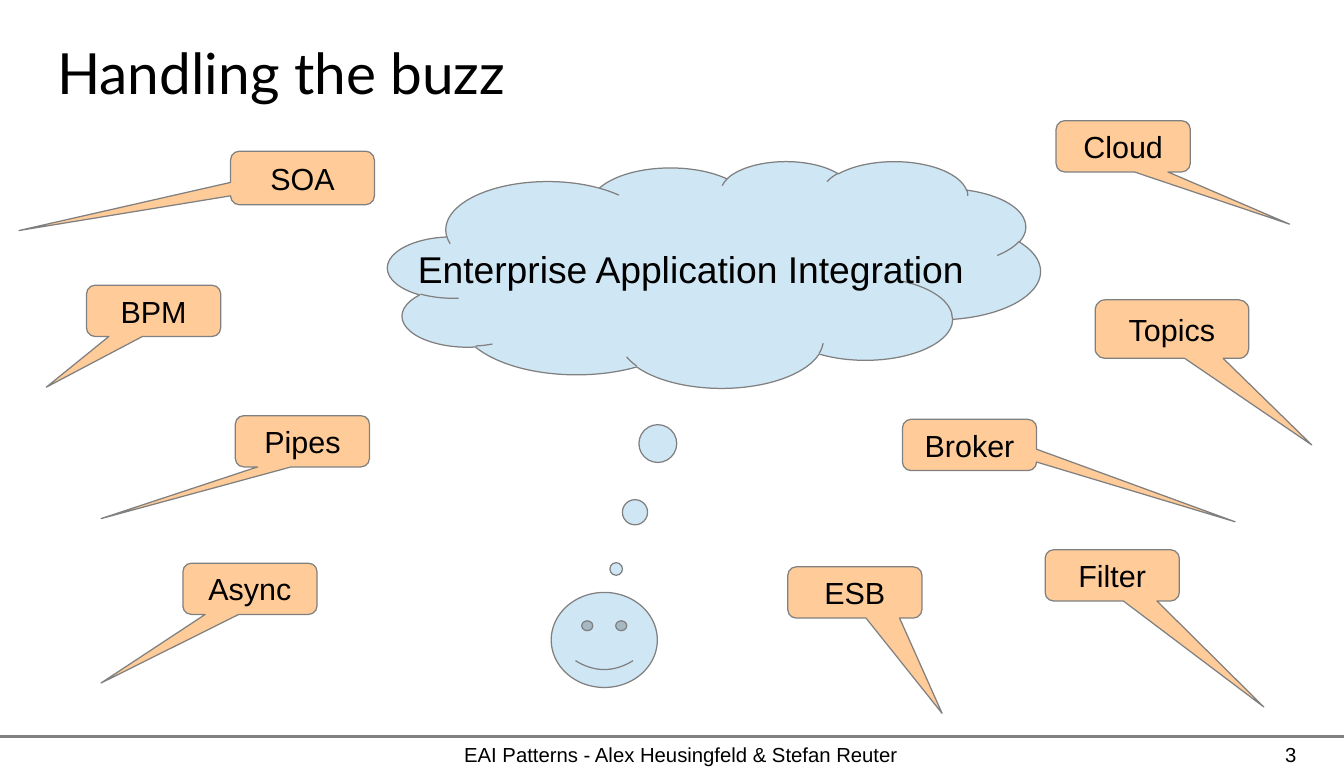
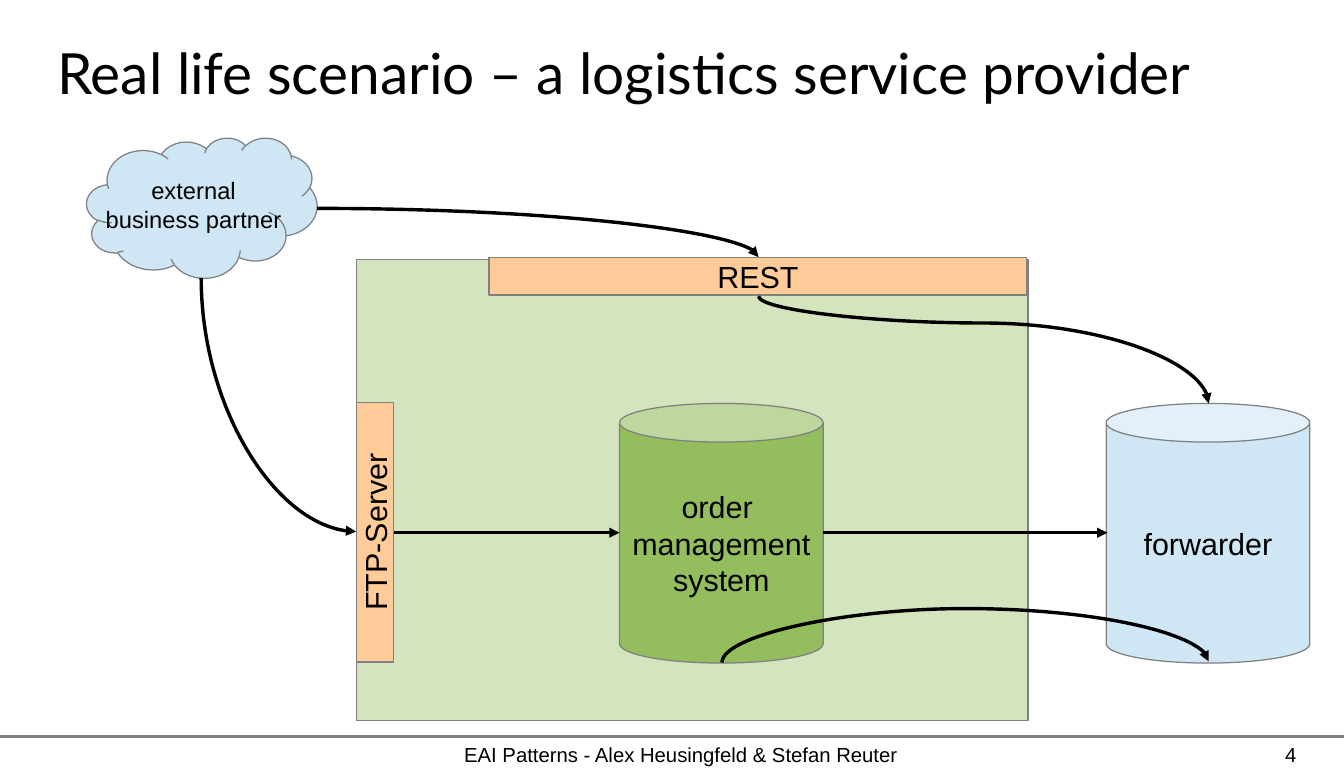
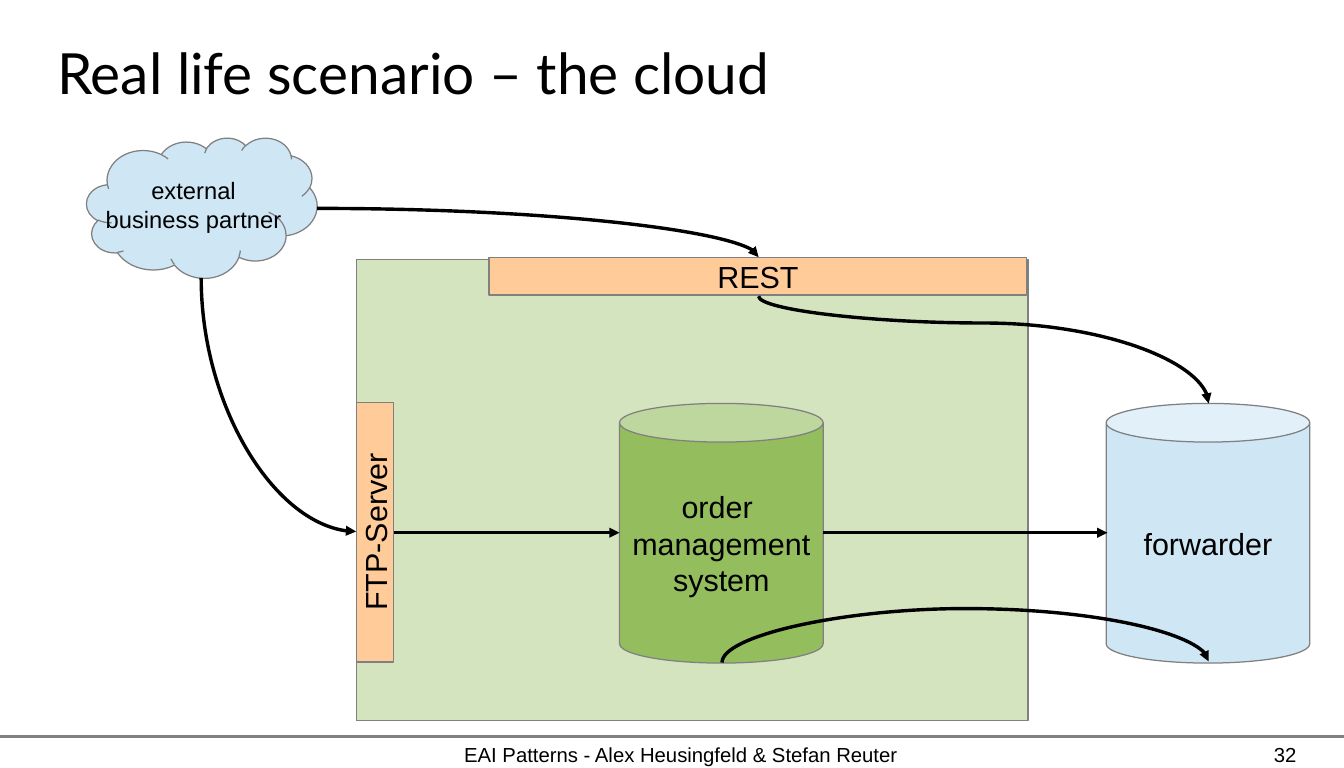
from lxml.etree import SubElement
from pptx import Presentation
from pptx.dml.color import RGBColor
from pptx.enum.shapes import MSO_CONNECTOR, MSO_SHAPE
from pptx.enum.text import MSO_ANCHOR, PP_ALIGN
from pptx.oxml.ns import qn
from pptx.util import Inches, Pt

BLACK = RGBColor(0x00, 0x00, 0x00)
GRAY = RGBColor(0x80, 0x80, 0x80)
ORANGE = RGBColor(0xFF, 0xCC, 0x99)
BLUE = RGBColor(0xCF, 0xE7, 0xF5)
GREEN = RGBColor(0x94, 0xBD, 0x5E)
FOOTER = "EAI Patterns - Alex Heusingfeld & Stefan Reuter"


def add_box(s, kind, x, y, w, h, fill, text="", size=18, adj=()):
    sp = s.shapes.add_shape(kind, Inches(x), Inches(y), Inches(w), Inches(h))
    sp.shadow.inherit = False
    sp.fill.solid()
    sp.fill.fore_color.rgb = fill
    sp.line.color.rgb = GRAY
    sp.line.width = Pt(0)
    for i, value in enumerate(adj):
        sp.adjustments[i] = value
    tf = sp.text_frame
    tf.word_wrap = False
    tf.vertical_anchor = MSO_ANCHOR.MIDDLE
    if text:
        tf.text = text
    for p in tf.paragraphs:
        p.alignment = PP_ALIGN.CENTER
        for r in p.runs:
            r.font.name, r.font.size, r.font.color.rgb = "Arial", Pt(size), BLACK
    return sp


def add_line(s, x1, y1, x2, y2, color=BLACK, preset="line", upright=False, bend=None):
    """Draw a line, with an arrowhead if black; an upright curve leaves its start vertically."""
    c = s.shapes.add_connector(MSO_CONNECTOR.STRAIGHT, Inches(x1), Inches(y1), Inches(x2), Inches(y2))
    c.line.color.rgb = color
    c.line.width = Pt(0)
    spPr = c.element.spPr
    geom = spPr.find(qn("a:prstGeom"))
    geom.set("prst", preset)
    if bend is not None:
        gd = SubElement(geom.find(qn("a:avLst")), qn("a:gd"))
        gd.set("name", "adj1")
        gd.set("fmla", f"val {round(bend * 100000)}")
    if upright:
        # A quarter turn swaps the two sides of the frame around its centre
        w, h = max(y2 - y1, 0.01), x2 - x1
        c.left, c.top = Inches((x1 + x2 - w) / 2), Inches((y1 + y2 - h) / 2)
        c.width, c.height = Inches(w), Inches(h)
        xfrm = spPr.find(qn("a:xfrm"))
        xfrm.set("rot", str(270 * 60000))
        if y2 > y1:
            xfrm.set("flipH", "1")
    if color == BLACK:
        SubElement(c.line._get_or_add_ln(), qn("a:tailEnd")).set("type", "triangle")
    SubElement(spPr, qn("a:effectLst"))
    return c


prs = Presentation()
prs.slide_width, prs.slide_height = Inches(11.02), Inches(6.3)
layout = prs.slide_layouts[5]

# Shared title, footer and page number
slides = []
for title, number in [
    ("Handling the buzz", "3"),
    ("Real life scenario – a logistics service provider", "4"),
    ("Real life scenario – the cloud", "32"),
]:
    s = prs.slides.add_slide(layout)
    sp = s.shapes.title
    sp.left, sp.top, sp.width, sp.height = Inches(0.47), Inches(0.12), Inches(10.08), Inches(0.93)
    sp.text_frame.text = title
    sp.text_frame.vertical_anchor = MSO_ANCHOR.MIDDLE
    texts = [(sp, PP_ALIGN.LEFT, "Lato", 33.5)]
    for text, x, w, align in [(FOOTER, 2.2, 6.77, PP_ALIGN.CENTER), (number, 9.21, 1.42, PP_ALIGN.RIGHT)]:
        sp = s.shapes.add_textbox(Inches(x), Inches(6.09), Inches(w), Inches(0.23))
        sp.text_frame.text = text
        texts.append((sp, align, "Arial", 12))
    for sp, align, font, size in texts:
        tf = sp.text_frame
        tf.word_wrap = True
        tf.margin_left = tf.margin_right = tf.margin_top = tf.margin_bottom = 0
        p = tf.paragraphs[0]
        p.alignment = align
        r = p.runs[0]
        r.font.name, r.font.size, r.font.color.rgb = font, Pt(size), BLACK
    slides.append(s)

# The footer rule belongs to the layout, so every slide shows it
rule = add_line(slides[0], 0, 6.04, 11.02, 6.04, GRAY)
layout.shapes.element.append(rule.element)

# Buzzwords around a thinking face
s = slides[0]
for text, x, y, w, h, tip_x, tip_y in [
    ("BPM", 0.71, 2.34, 1.1, 0.42, -0.8, 1.49),
    ("Broker", 7.4, 3.44, 1.1, 0.42, 1.98, 1.5),
    ("Pipes", 1.93, 3.41, 1.1, 0.42, -1.5, 1.51),
    ("Cloud", 8.66, 0.99, 1.1, 0.42, 1.24, 1.52),
    ("Topics", 8.98, 2.46, 1.26, 0.48, 0.91, 1.98),
    ("Filter", 8.57, 4.51, 1.1, 0.42, 1.13, 2.57),
    ("Async", 1.5, 4.62, 1.1, 0.42, -1.11, 1.84),
    ("SOA", 1.89, 1.24, 1.18, 0.44, -1.97, 0.98),
    ("ESB", 6.46, 4.65, 1.1, 0.42, 0.65, 2.36),
]:
    add_box(s, MSO_SHAPE.ROUNDED_RECTANGULAR_CALLOUT, x, y, w, h, ORANGE, text, adj=(tip_x, tip_y))
add_box(s, MSO_SHAPE.CLOUD_CALLOUT, 3.18, 1.32, 5.35, 1.86, BLUE,
        "Enterprise Application Integration", 22, (-0.15, 1.3))
add_box(s, MSO_SHAPE.SMILEY_FACE, 4.52, 4.86, 0.87, 0.78, BLUE, adj=(0.05,))

# The same system landscape on both scenario slides
for s in slides[1:]:
    system = add_box(s, MSO_SHAPE.RECTANGLE, 2.92, 2.13, 5.51, 3.78, GREEN)
    color = system.element.spPr.find(qn("a:solidFill")).find(qn("a:srgbClr"))
    SubElement(color, qn("a:alpha")).set("val", "40000")
    for text, x, fill in [("order \nmanagement\nsystem", 5.08, GREEN), ("forwarder", 9.07, BLUE)]:
        add_box(s, MSO_SHAPE.CAN, x, 3.31, 1.67, 2.13, fill, text, adj=(0.19,))
    add_box(s, MSO_SHAPE.RECTANGLE, 4.01, 2.11, 4.41, 0.31, ORANGE, "REST")
    add_box(s, MSO_SHAPE.CLOUD, 0.71, 1.13, 1.89, 1.15, BLUE, "external\nbusiness partner", 14)
    ftp = add_box(s, MSO_SHAPE.RECTANGLE, 2.01, 4.21, 2.13, 0.31, ORANGE, "FTP-Server")
    ftp.rotation = 270

    add_line(s, 2.6, 1.71, 6.22, 2.11, preset="curvedConnector2")
    add_line(s, 1.65, 2.28, 2.92, 4.36, preset="curvedConnector2", upright=True)
    add_line(s, 6.22, 2.43, 9.91, 3.31, preset="curvedConnector3", upright=True, bend=0.25)
    add_line(s, 5.92, 5.43, 9.91, 5.43, preset="curvedConnector3", upright=True, bend=45)
    add_line(s, 6.75, 4.37, 9.08, 4.37)
    c = add_line(s, 3.23, 4.37, 5.08, 4.37)
    c.begin_connect(ftp, 2)  # the bottom side faces right after the turn
    c.begin_x, c.begin_y = Inches(3.23), Inches(4.37)

prs.save("out.pptx")
